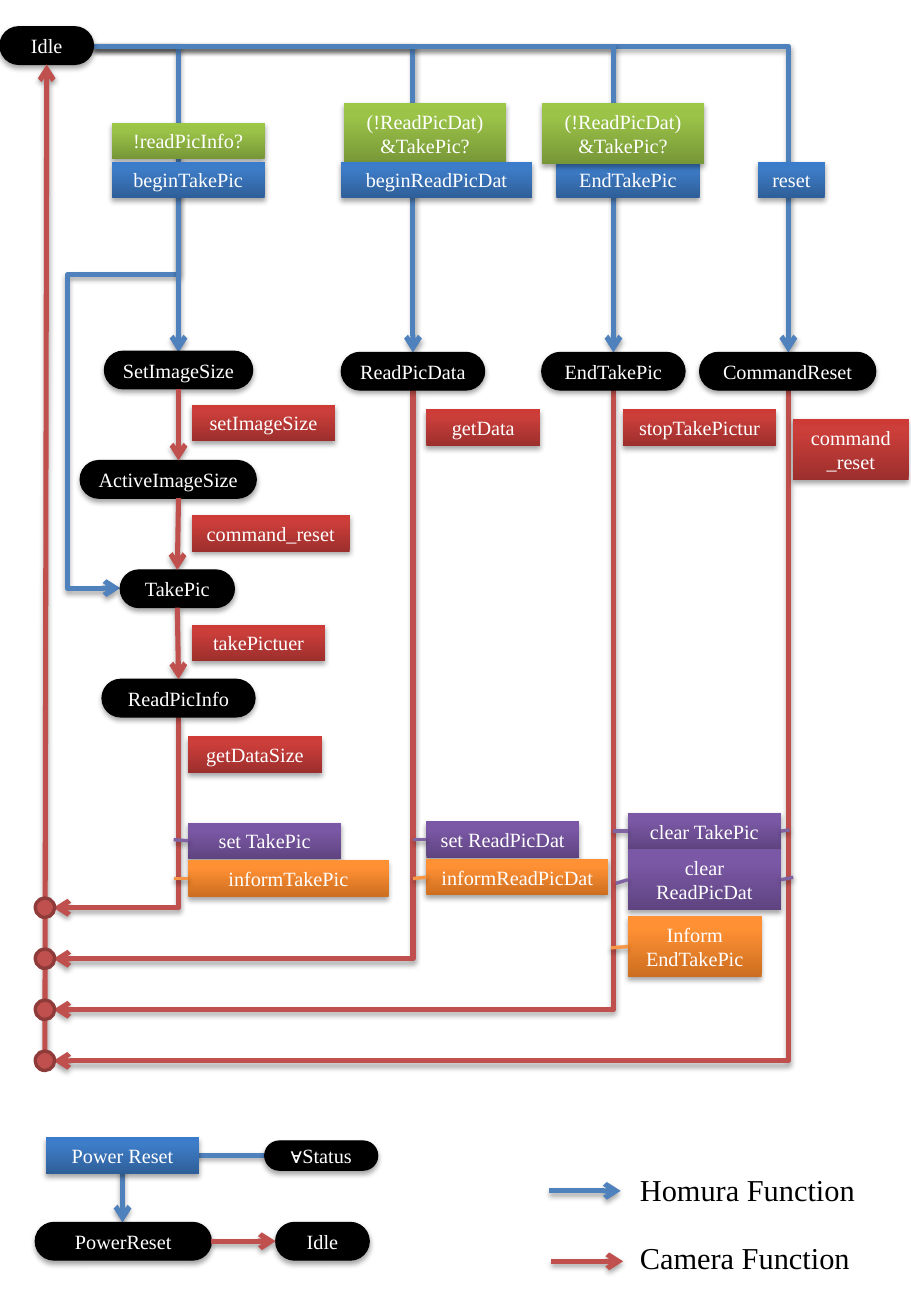
import copy
import dataclasses
import typing

import lxml.etree
import pptx
import pptx.dml.color
import pptx.enum.shapes
import pptx.enum.text
import pptx.oxml.ns
import pptx.util

Inches = pptx.util.Inches
Pt = pptx.util.Pt
RGB = pptx.dml.color.RGBColor.from_string
qn = pptx.oxml.ns.qn
MSO_SHAPE = pptx.enum.shapes.MSO_SHAPE
MSO_CONNECTOR = pptx.enum.shapes.MSO_CONNECTOR
Point = tuple[float, float]
Joint = typing.Optional[tuple[str, int]]


@dataclasses.dataclass(frozen=True)
class Theme:
    font: str = "Times New Roman"
    size: int = 12
    legend_size: int = 18
    black: str = "000000"
    white: str = "FFFFFF"
    blue: str = "4F81BD"
    red: str = "C0504D"
    dark_red: str = "8E3B39"
    purple: str = "8064A2"
    orange: str = "F79646"
    flow_width: float = 3
    stub_width: float = 2
    blue_box: tuple = ("2F5F99", "3D7CC7", "3A7CCB")
    red_box: tuple = ("9C2F2D", "CB3E3A", "CE3B37")
    green_box: tuple = ("779737", "9BC348", "9DC746")
    purple_box: tuple = ("5F4480", "7B58A6", "7C57A8")
    orange_box: tuple = ("CC6E20", "FF9034", "FF9136")


T = Theme()


@dataclasses.dataclass(frozen=True)
class State:
    text: str
    x: float
    y: float
    w: float
    h: float = 0.31
    key: str = ""


@dataclasses.dataclass(frozen=True)
class Action:
    text: str
    x: float
    y: float
    w: float
    colors: tuple
    h: float = 0.3


@dataclasses.dataclass(frozen=True)
class Link:
    start: Point
    end: Point
    color: str
    begin: Joint = None
    finish: Joint = None
    arrow: bool = True


@dataclasses.dataclass(frozen=True)
class Elbow:
    start: Point
    end: Point
    color: str
    down_first: bool = False
    adjust: tuple = ()


READ_X, END_X, RESET_X, TAKE_X = 3.4, 5.05, 6.49, 1.47
RAIL_X, RAIL_Y, RAIL_STEP = 0.29, 7.39, 0.42
DOT = 0.16

ELBOWS = [
    Elbow((TAKE_X, 1.48), (0.99, 4.84), T.blue, True, (23300, 190800)),
    *(Elbow((0.77, 0.38), (x, 2.9), T.blue) for x in (RESET_X, READ_X, TAKE_X, END_X)),
    *(Elbow((x, y), (0.44, RAIL_Y + DOT / 2 + i * RAIL_STEP), T.red, True)
      for i, (x, y) in enumerate([(TAKE_X, 5.9), (READ_X, 3.21), (END_X, 3.21), (RESET_X, 3.21)])),
    Elbow((2.18, 9.51), (1.01, 10.06), T.blue),
]

STATES = [
    State("Idle", 0, 0.22, 0.77),
    State("SetImageSize", 0.86, 2.89, 1.22),
    State("ActiveImageSize", 0.66, 3.79, 1.45),
    State("TakePic", 0.99, 4.69, 0.94),
    State("ReadPicInfo", 0.84, 5.59, 1.26),
    State("ReadPicData", 2.81, 2.9, 1.18),
    State("EndTakePic", 4.46, 2.9, 1.18, key="EndTakePic state"),
    State("CommandReset", 5.76, 2.9, 1.45),
    State("PowerReset", 0.29, 10.06, 1.45),
    State("∀Status", 2.18, 9.39, 0.93, 0.24),
    State("Idle", 2.27, 10.06, 0.77, key="Idle after reset"),
]

ACTIONS = [
    Action("setImageSize", 1.58, 3.33, 1.18, T.red_box),
    Action("command_reset", 1.58, 4.24, 1.3, T.red_box),
    Action("takePictuer", 1.58, 5.14, 1.1, T.red_box),
    Action("getDataSize", 1.55, 6.06, 1.1, T.red_box),
    Action("getData", 3.51, 3.37, 0.94, T.red_box),
    Action("stopTakePictur", 5.13, 3.37, 1.26, T.red_box),
    Action("command\n_reset", 6.53, 3.45, 0.95, T.red_box, 0.5),
    Action("set TakePic", 1.55, 6.77, 1.26, T.purple_box),
    Action("informTakePic", 1.55, 7.08, 1.65, T.orange_box),
    Action("set ReadPicDat", 3.51, 6.76, 1.26, T.purple_box),
    Action("informReadPicDat", 3.51, 7.07, 1.5, T.orange_box),
    Action("clear TakePic", 5.17, 6.69, 1.26, T.purple_box),
    Action("clear ReadPicDat", 5.17, 6.99, 1.26, T.purple_box, 0.5),
    Action("Inform\nEndTakePic", 5.17, 7.54, 1.1, T.orange_box, 0.5),
    Action("!readPicInfo?", 0.92, 1.01, 1.26, T.green_box),
    Action("(!ReadPicDat)\v&TakePic?", 2.83, 0.85, 1.34, T.green_box, 0.5),
    Action("beginTakePic", 0.92, 1.33, 1.26, T.blue_box),
    Action("beginReadPicDat", 2.81, 1.33, 1.57, T.blue_box),
    Action("EndTakePic", 4.58, 1.33, 1.18, T.blue_box),
    Action("reset", 6.24, 1.33, 0.55, T.blue_box),
    Action("(!ReadPicDat)\v&TakePic?", 4.46, 0.85, 1.34, T.green_box, 0.5),
    Action("Power Reset", 0.38, 9.36, 1.26, T.blue_box),
]

LINKS = [
    Link((TAKE_X, 3.2), (TAKE_X, 3.79), T.red, ("SetImageSize", 2)),
    Link((TAKE_X, 4.1), (TAKE_X, 4.69), T.red, None, ("TakePic", 0)),
    Link((TAKE_X, 5), (TAKE_X, 5.59), T.red, ("TakePic", 2), ("ReadPicInfo", 0)),
    Link((1.74, 10.22), (2.27, 10.22), T.red, ("PowerReset", 3), ("Idle after reset", 1)),
    Link((4.52, 9.8), (5.11, 9.8), T.blue),
    Link((4.54, 10.38), (5.13, 10.38), T.red),
    *(Link(start, end, color, None, joint, False) for start, end, color, joint in [
        ((1.43, 6.91), (1.55, 6.92), T.purple, ("set TakePic", 1)),
        ((1.43, 7.23), (1.55, 7.23), T.orange, ("informTakePic", 1)),
        ((3.4, 6.91), (3.51, 6.91), T.purple, ("set ReadPicDat", 1)),
        ((3.4, 7.23), (3.51, 7.22), T.orange, ("informReadPicDat", 1)),
        ((5.05, 6.84), (5.17, 6.84), T.purple, ("clear TakePic", 1)),
        ((5.07, 7.27), (5.17, 7.24), T.purple, ("clear ReadPicDat", 1)),
        ((6.5, 6.83), (6.43, 6.84), T.purple, ("clear TakePic", 3)),
        ((6.53, 7.22), (6.43, 7.24), T.purple, ("clear ReadPicDat", 3)),
        ((5.03, 7.8), (5.17, 7.79), T.orange, ("Inform\nEndTakePic", 1)),
    ]),
]


def add_shadow(sp, distance: int = 23000, alpha: int = 35000) -> None:
    effects = sp.element.spPr.find(qn("a:effectLst"))
    if effects is None:
        effects = lxml.etree.SubElement(sp.element.spPr, qn("a:effectLst"))
    shadow = lxml.etree.SubElement(effects, qn("a:outerShdw"), blurRad="40000",
                                   dist=str(distance), dir="5400000", rotWithShape="0")
    color = lxml.etree.SubElement(shadow, qn("a:srgbClr"), val=T.black)
    lxml.etree.SubElement(color, qn("a:alpha"), val=str(alpha))


def write(sp, text: str, size: int, color: str, align) -> None:
    tf = sp.text_frame
    tf.word_wrap = True
    tf.text = text
    for p in tf.paragraphs:
        p.alignment = align
        p.font.name, p.font.size, p.font.color.rgb = T.font, Pt(size), RGB(color)


def style_line(c, color: str, width: float, arrow: bool) -> None:
    c.line.color.rgb = RGB(color)
    c.line.width = Pt(width)
    if arrow:
        lxml.etree.SubElement(c.line._get_or_add_ln(), qn("a:tailEnd"), type="arrow")
        add_shadow(c)
    else:
        add_shadow(c, 20000, 38000)


def draw_link(s, link: Link, nodes: dict):
    c = s.shapes.add_connector(MSO_CONNECTOR.STRAIGHT, *map(Inches, link.start + link.end))
    style_line(c, link.color, T.flow_width if link.arrow else T.stub_width, link.arrow)
    if link.begin:
        c.begin_connect(nodes[link.begin[0]], link.begin[1])
    if link.finish:
        c.end_connect(nodes[link.finish[0]], link.finish[1])
    return c


def draw_elbow(s, elbow: Elbow) -> None:
    (x1, y1), (x2, y2) = elbow.start, elbow.end
    if elbow.down_first:
        mid_x, mid_y, w, h = (x1 + x2) / 2, (y1 + y2) / 2, y2 - y1, x1 - x2
        x1, y1, x2, y2 = mid_x - w / 2, mid_y - h / 2, mid_x + w / 2, mid_y + h / 2
    c = s.shapes.add_connector(MSO_CONNECTOR.ELBOW, *map(Inches, (x1, y1, x2, y2)))
    spPr = c.element.spPr
    if elbow.down_first:
        spPr.find(qn("a:xfrm")).set("rot", "5400000")
    geometry = spPr.find(qn("a:prstGeom"))
    geometry.set("prst", "bentConnector4" if elbow.adjust else "bentConnector2")
    for i, value in enumerate(elbow.adjust, 1):
        lxml.etree.SubElement(geometry.find(qn("a:avLst")), qn("a:gd"),
                              name=f"adj{i}", fmla=f"val {value}")
    style_line(c, elbow.color, T.flow_width, True)


def draw_state(s, state: State):
    sp = s.shapes.add_shape(MSO_SHAPE.ROUNDED_RECTANGLE,
                            *map(Inches, (state.x, state.y, state.w, state.h)))
    sp.adjustments[0] = 0.5
    sp.fill.solid()
    sp.fill.fore_color.rgb = sp.line.color.rgb = RGB(T.black)
    sp.line.width = Pt(0.75)
    sp.shadow.inherit = False
    add_shadow(sp)
    write(sp, state.text, T.size, T.white, pptx.enum.text.PP_ALIGN.CENTER)
    sp.text_frame.vertical_anchor = pptx.enum.text.MSO_ANCHOR.MIDDLE
    return sp


def draw_action(s, action: Action):
    sp = s.shapes.add_shape(MSO_SHAPE.RECTANGLE,
                            *map(Inches, (action.x, action.y, action.w, action.h)))
    sp.fill.gradient()
    sp.fill.gradient_angle = 90
    stops = sp.element.spPr.find(qn("a:gradFill")).find(qn("a:gsLst"))
    stops.append(copy.deepcopy(stops[-1]))
    for stop, position, color in zip(sp.fill.gradient_stops, (0, 0.8, 1), action.colors):
        stop.position, stop.color.rgb = position, RGB(color)
    sp.line.fill.background()
    sp.shadow.inherit = False
    add_shadow(sp)
    write(sp, action.text, T.size, T.white, pptx.enum.text.PP_ALIGN.CENTER)
    sp.text_frame.vertical_anchor = pptx.enum.text.MSO_ANCHOR.TOP
    return sp


def draw_dot(s, y: float):
    sp = s.shapes.add_shape(MSO_SHAPE.OVAL, *map(Inches, (RAIL_X, y, DOT, DOT)))
    sp.fill.solid()
    sp.fill.fore_color.rgb, sp.line.color.rgb = RGB(T.red), RGB(T.dark_red)
    sp.line.width = Pt(2)
    sp.shadow.inherit = False
    return sp


def draw_legend(s, text: str, y: float, w: float) -> None:
    sp = s.shapes.add_textbox(*map(Inches, (5.17, y, w, 0.4)))
    write(sp, text, T.legend_size, T.black, pptx.enum.text.PP_ALIGN.LEFT)


def main() -> None:
    prs = pptx.Presentation()
    prs.slide_width, prs.slide_height = Inches(7.5), Inches(10.83)
    s = prs.slides.add_slide(prs.slide_layouts[6])
    for elbow in ELBOWS:
        draw_elbow(s, elbow)
    nodes = {state.key or state.text: draw_state(s, state) for state in STATES}
    nodes.update({action.text: draw_action(s, action) for action in ACTIONS})
    for link in LINKS:
        draw_link(s, link, nodes)
    rail = draw_link(s, Link((0.37, 8.65), (0.38, 0.53), T.red, None, ("Idle", 2)), nodes)
    dots = [draw_dot(s, RAIL_Y + i * RAIL_STEP) for i in range(4)]
    rail.begin_connect(dots[-1], 0)
    draw_legend(s, "Homura Function", 9.59, 2.13)
    draw_legend(s, "Camera Function", 10.15, 1.97)
    prs.save("out.pptx")


if __name__ == "__main__":
    main()
